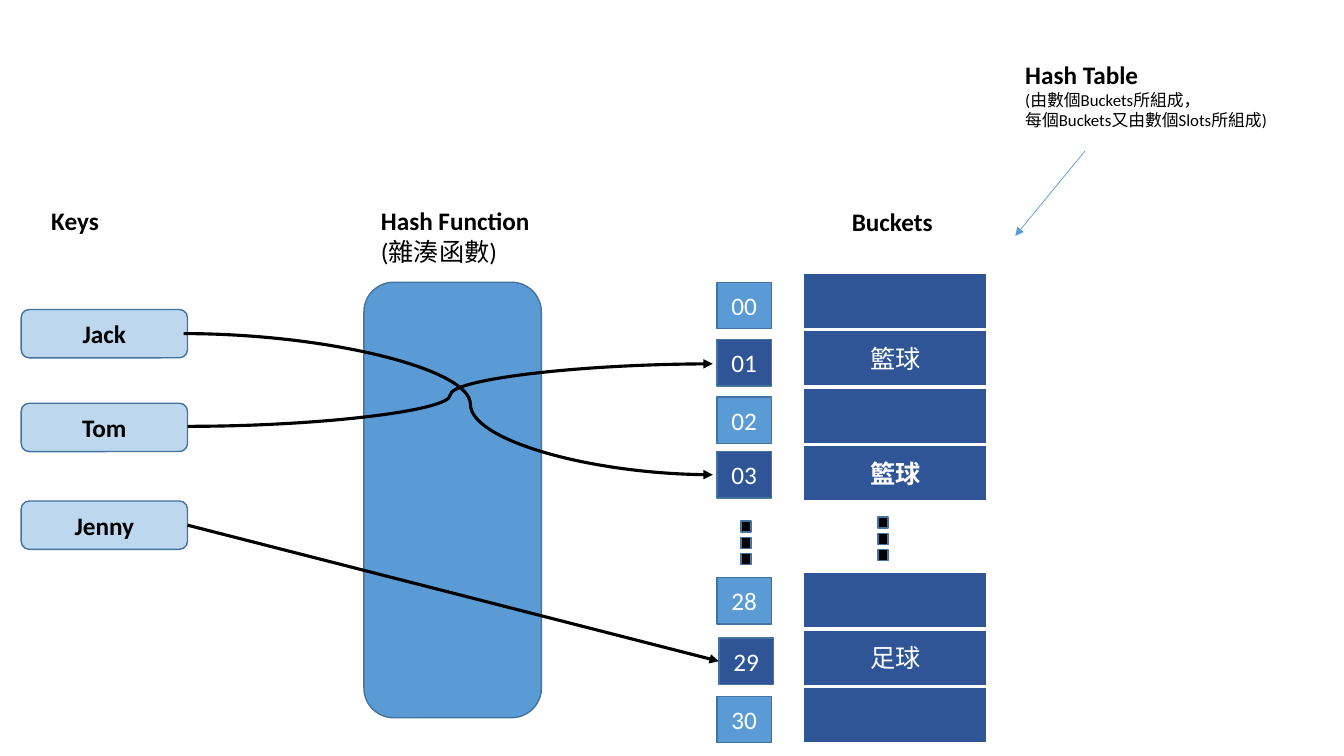
from lxml.etree import SubElement
from pptx import Presentation
from pptx.dml.color import RGBColor
from pptx.enum.shapes import MSO_CONNECTOR, MSO_SHAPE
from pptx.enum.text import MSO_ANCHOR, MSO_AUTO_SIZE, PP_ALIGN
from pptx.oxml.ns import qn
from pptx.util import Inches, Pt

HUES = {
    "black": "000000",
    "white": "FFFFFF",
    "navy": "2F5597",
    "blue": "5B9BD5",
    "pale": "BDD7EE",
    "edge": "43739E",
}


class Board:
    font = "Calibri"

    def __init__(self, slide):
        self.slide = slide
        self.shapes = slide.shapes

    def hue(self, name):
        return RGBColor.from_string(HUES[name])

    def add_text(self, para, text, size=18, bold=False, hue="black"):
        run = para.add_run()
        run.text = text
        style = {"name": self.font, "size": Pt(size), "bold": bold}
        for key, value in style.items():
            setattr(run.font, key, value)
        run.font.color.rgb = self.hue(hue)

    def label(self, place, lines, wrap=False):
        frame = self.shapes.add_textbox(*map(Inches, place)).text_frame
        style = {"word_wrap": wrap, "auto_size": MSO_AUTO_SIZE.SHAPE_TO_FIT_TEXT}
        for key, value in style.items():
            setattr(frame, key, value)
        for i, (text, size, bold) in enumerate(lines):
            para = frame.add_paragraph() if i else frame.paragraphs[0]
            self.add_text(para, text, size, bold)

    def box(self, place, fill, text="", kind=MSO_SHAPE.RECTANGLE,
            edge="edge", width=1, bold=False, hue="white"):
        shape = self.shapes.add_shape(kind, *map(Inches, place))
        shape.shadow.inherit = False
        shape.fill.solid()
        shape.fill.fore_color.rgb = self.hue(fill)
        shape.line.color.rgb = self.hue(edge)
        shape.line.width = Pt(width)
        if text:
            frame = shape.text_frame
            frame.vertical_anchor = MSO_ANCHOR.MIDDLE
            para = frame.paragraphs[0]
            para.alignment = PP_ALIGN.CENTER
            self.add_text(para, text, bold=bold, hue=hue)
        return shape

    def arrow(self, start, end, hue="black", width=2.25,
              kind=MSO_CONNECTOR.STRAIGHT, bend=None):
        line = self.shapes.add_connector(kind, *map(Inches, start + end))
        line.line.color.rgb = self.hue(hue)
        line.line.width = Pt(width)
        props = line._element.spPr
        SubElement(props.find(qn("a:ln")), qn("a:tailEnd"), type="triangle")
        SubElement(props, qn("a:effectLst"))
        if bend:
            geom = props.find(qn("a:prstGeom"))
            marks = geom.find(qn("a:avLst"))
            if marks is None:
                marks = SubElement(geom, qn("a:avLst"))
            SubElement(marks, qn("a:gd"), name="adj1", fmla=f"val {bend}")
        return line


def main():
    deck = Presentation()
    deck.slide_width = Inches(13.33)
    deck.slide_height = Inches(7.5)
    board = Board(deck.slides.add_slide(deck.slide_layouts[6]))
    round_box = MSO_SHAPE.ROUNDED_RECTANGLE

    board.label((0.41, 1.99, 0.68, 0.4), [("Keys", 18, True)])
    board.label((3.68, 1.99, 1.69, 0.71),
                [("Hash Function", 18, True), ("(雜湊函數)", 18, False)])
    board.label((8.35, 2, 1.01, 0.4), [("Buckets", 18, True)])
    board.label((10.07, 0.54, 2.62, 0.81),
                [("Hash Table", 18, True),
                 ("(由數個Buckets所組成，", 12, False),
                 ("每個Buckets又由數個Slots所組成)", 12, False)], wrap=True)
    board.arrow((10.76, 1.5), (10.07, 2.34), "blue", 0.5)

    board.box((3.61, 2.8, 1.76, 4.32), "blue", kind=round_box)
    keys = {}
    for name, top in (("Jack", 3.07), ("Tom", 4), ("Jenny", 4.97)):
        keys[name] = board.box((0.21, top, 1.65, 0.48), "pale", name,
                               round_box, bold=True, hue="black")

    high = 0.57
    groups = ((2.7, ("", "籃球", "", "籃球")), (5.67, ("", "足球", "")))
    for top, items in groups:
        for row, text in enumerate(items):
            board.box((7.96, top + row * high, 1.84, high), "navy", text,
                      edge="white", width=2.25, bold=row == 3)

    for left, top in ((8.71, 5.13), (7.35, 5.17)):
        for row in range(3):
            board.box((left, top + row * 0.16, 0.1, 0.11), "black")

    slots = {}
    cells = (("00", 7.11, 2.8), ("01", 7.11, 3.37), ("02", 7.11, 3.94),
             ("03", 7.11, 4.48), ("28", 7.11, 5.73), ("29", 7.13, 6.33),
             ("30", 7.11, 6.91))
    for code, left, top in cells:
        fill = "navy" if code in ("01", "03", "29") else "blue"
        slots[code] = board.box((left, top, 0.54, 0.46), fill, code)

    link = board.arrow((1.86, 5.21), (7.13, 6.56))
    link.begin_connect(keys["Jenny"], 3)
    link.end_connect(slots["29"], 1)
    curve = MSO_CONNECTOR.CURVE
    board.arrow((1.82, 3.31), (7.07, 4.71), kind=curve, bend=54200)
    board.arrow((1.86, 4.23), (7.07, 3.61), kind=curve, bend=50000)

    deck.save("out.pptx")


if __name__ == "__main__":
    main()
